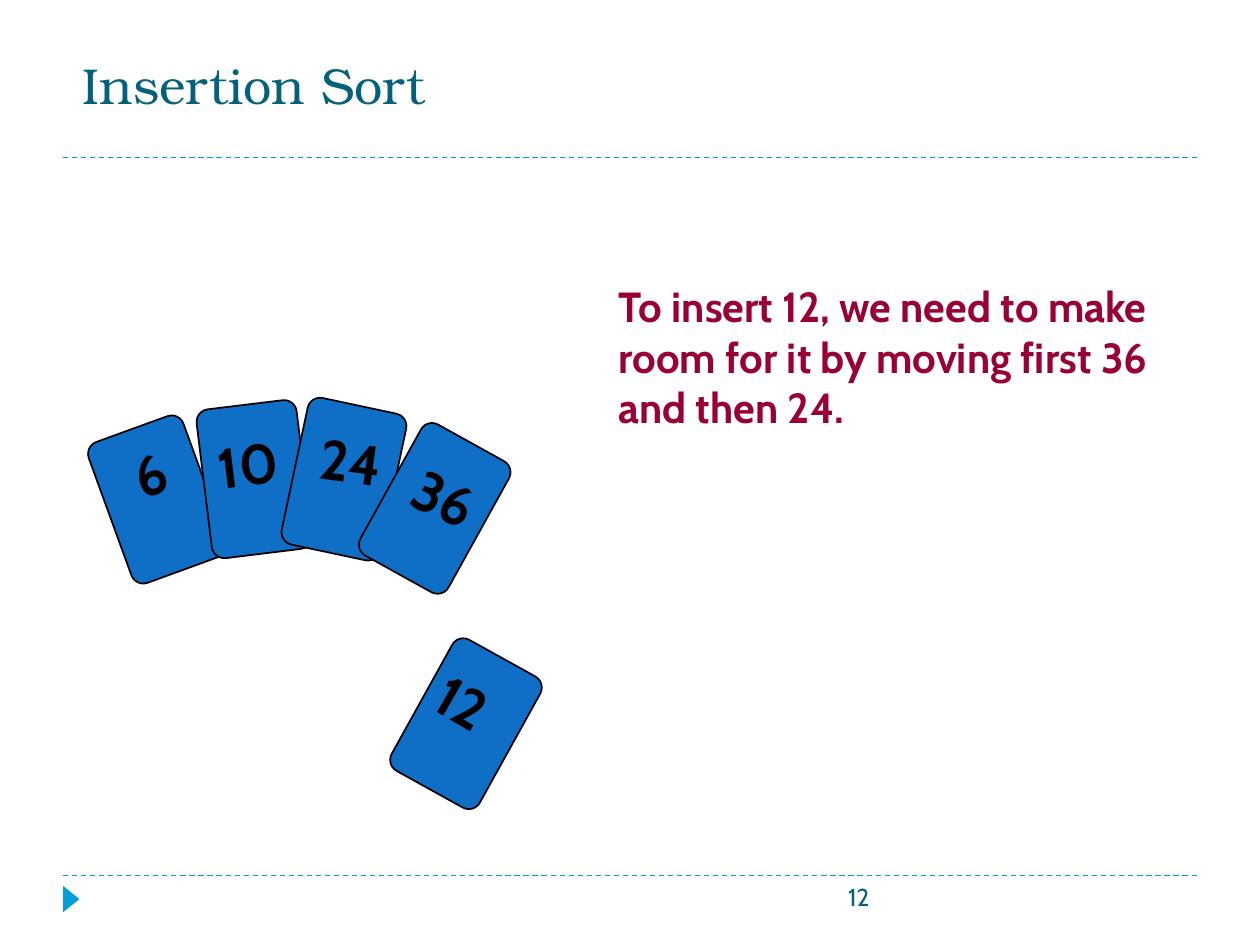
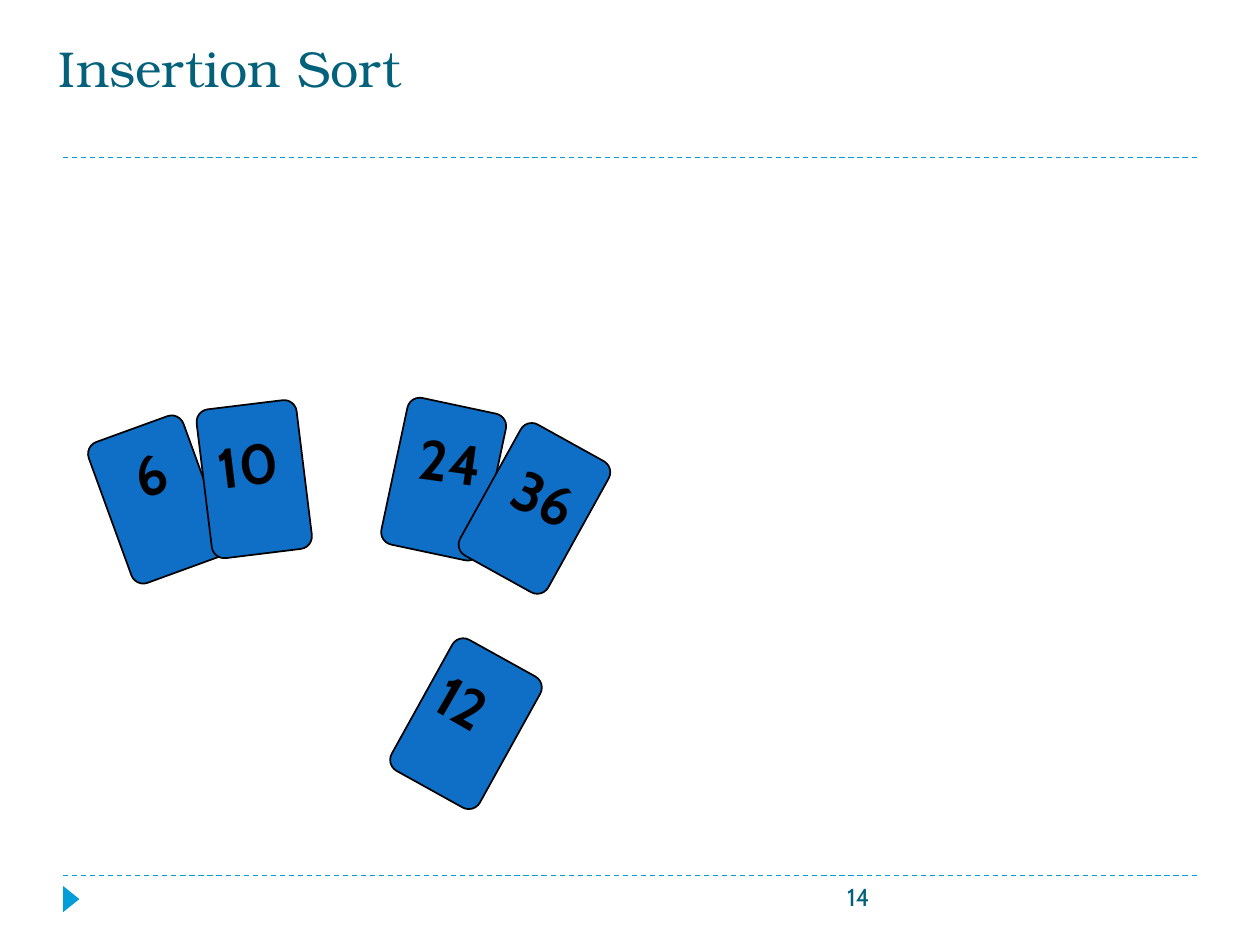
from dataclasses import dataclass

from lxml.etree import SubElement
from pptx import Presentation
from pptx.dml.color import RGBColor
from pptx.enum.dml import MSO_LINE
from pptx.enum.shapes import MSO_CONNECTOR, MSO_SHAPE
from pptx.enum.text import MSO_ANCHOR, MSO_AUTO_SIZE, PP_ALIGN
from pptx.oxml.ns import qn
from pptx.util import Cm, Pt

# Content: lengths in centimetres, angles in degrees
TITLE = "Insertion Sort"
SLIDES = [
    {
        "number": "12",
        "title_box": (1.42, 1.73, 17.58, 0.71),
        "note": "To insert 12, we need to make room for it by moving first 36 and then 24.",
        "moved": (),
    },
    {
        "number": "14",
        "title_box": (0.94, 0.64, 18.03, 1.45),
        "note": None,
        "moved": ("24", "36"),
    },
]
# value, card left, top, turn, label left, top, width, turn
CARDS = [
    ("6", 2.16, 8.56, -20, 2.46, 8.74, 1.14, -19),
    ("10", 4.11, 8.15, -7, 4.14, 8.53, 1.78, -7),
    ("24", 5.92, 8.15, 12, 6.2, 8.48, 1.78, 8),
    ("36", 7.75, 8.74, 29, 8.1, 9.22, 1.78, 25),
    ("12", 8.38, 13.08, 29, 8.56, 13.41, 1.78, 30),
]
CARD_WIDTH, CARD_HEIGHT = 2.03, 3.02
LABEL_HEIGHT = 1.6
MOVE_RIGHT = 2.01
NOTE_BOX = (12.22, 5.54, 11.84, 3.3)
NUMBER_BOX = (8.05, 17.65, 9.73, 1.02)
MARKER_BOX = (1.17, 17.96, 0.53, 0.33)
RULE_LEFT, RULE_RIGHT = 1.27, 24.13
RULE_TOPS = (17.65, 3.18)


@dataclass(frozen=True)
class Theme:
    title_font: str = "TeX Gyre Bonum"
    body_font: str = "Cabin"
    title_size: float = 28.8
    note_size: float = 24
    label_size: float = 32
    number_size: float = 14
    heading: RGBColor = RGBColor.from_string("04617B")
    accent: RGBColor = RGBColor.from_string("009DD9")
    card: RGBColor = RGBColor.from_string("0F6FC6")
    ink: RGBColor = RGBColor.from_string("000000")
    note: RGBColor = RGBColor.from_string("990033")


THEME = Theme()


def add_text(slide, text, box, size, color, font=THEME.body_font, bold=False):
    shape = slide.shapes.add_textbox(*map(Cm, box))
    frame = shape.text_frame
    frame.word_wrap = True
    paragraph = frame.paragraphs[0]
    paragraph.text = text
    paragraph.font.name = font
    paragraph.font.size = Pt(size)
    paragraph.font.bold = bold
    paragraph.font.color.rgb = color
    return shape


def add_solid(slide, preset, box, color, turn):
    shape = slide.shapes.add_shape(preset, *map(Cm, box))
    shape.shadow.inherit = False
    shape.fill.solid()
    shape.fill.fore_color.rgb = color
    shape.line.fill.background()
    shape.rotation = turn
    return shape


def add_frame(slide, number):
    """Dashed rules, corner marker and slide number."""
    for top in RULE_TOPS:
        rule = slide.shapes.add_connector(
            MSO_CONNECTOR.STRAIGHT, Cm(RULE_LEFT), Cm(top), Cm(RULE_RIGHT), Cm(top))
        rule.line.color.rgb = THEME.accent
        rule.line.width = Pt(0.75)
        rule.line.dash_style = MSO_LINE.DASH
        SubElement(rule._element.spPr, qn("a:effectLst"))
    add_solid(slide, MSO_SHAPE.ISOSCELES_TRIANGLE, MARKER_BOX, THEME.accent, 90)
    number_box = add_text(slide, number, NUMBER_BOX, THEME.number_size, THEME.heading)
    number_box.text_frame.paragraphs[0].alignment = PP_ALIGN.RIGHT


def add_card(slide, card, shift):
    value, left, top, turn, label_left, label_top, label_width, label_turn = card
    face = add_solid(slide, MSO_SHAPE.ROUNDED_RECTANGLE,
                     (left + shift, top, CARD_WIDTH, CARD_HEIGHT), THEME.card, turn)
    face.adjustments[0] = 0.125
    face.line.color.rgb = THEME.ink
    face.line.width = Pt(1)
    label = add_text(slide, value, (label_left + shift, label_top, label_width, LABEL_HEIGHT),
                     THEME.label_size, THEME.ink, bold=True)
    label.text_frame.word_wrap = False
    label.text_frame.auto_size = MSO_AUTO_SIZE.SHAPE_TO_FIT_TEXT
    label.rotation = label_turn


def main():
    presentation = Presentation()
    presentation.slide_width, presentation.slide_height = Cm(25.4), Cm(19.05)
    for content in SLIDES:
        slide = presentation.slides.add_slide(presentation.slide_layouts[6])
        add_frame(slide, content["number"])
        title = add_text(slide, TITLE, content["title_box"], THEME.title_size,
                         THEME.heading, THEME.title_font)
        title.text_frame.vertical_anchor = MSO_ANCHOR.BOTTOM
        if content["note"]:
            note = add_text(slide, content["note"], NOTE_BOX, THEME.note_size,
                            THEME.note, bold=True)
            note.text_frame.auto_size = MSO_AUTO_SIZE.SHAPE_TO_FIT_TEXT
        # Cards in the hand, then the one to insert
        for card in CARDS:
            add_card(slide, card, MOVE_RIGHT if card[0] in content["moved"] else 0)
    presentation.save("out.pptx")


if __name__ == "__main__":
    main()
